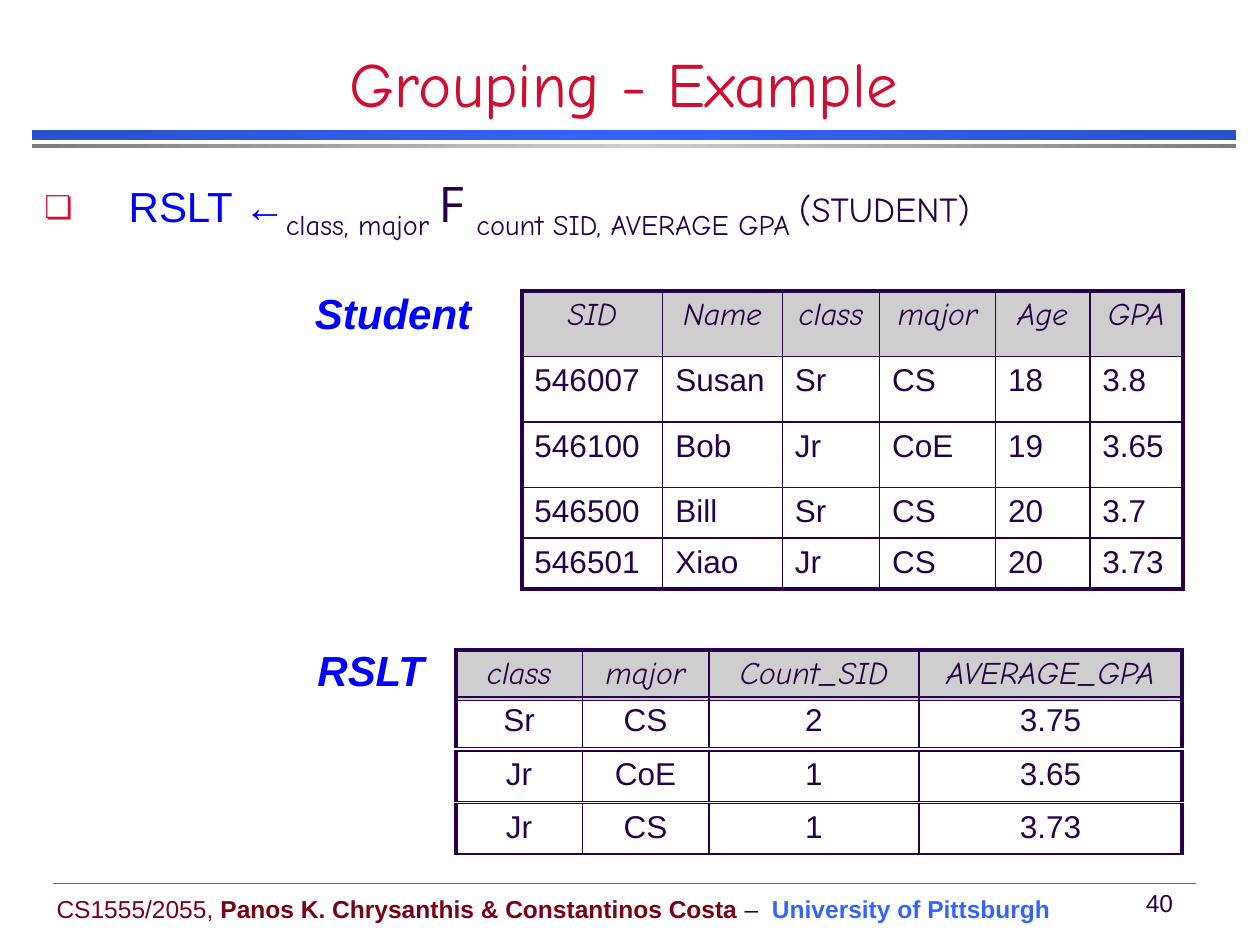
"""Build the slide on grouping with the Student and RSLT tables."""
from copy import deepcopy

from lxml import etree
from pptx import Presentation
from pptx.dml.color import RGBColor
from pptx.enum.shapes import MSO_CONNECTOR, MSO_SHAPE
from pptx.enum.text import MSO_ANCHOR, MSO_AUTO_SIZE, PP_ALIGN
from pptx.oxml.ns import qn
from pptx.util import Cm, Pt

LEFT, CENTER = PP_ALIGN.LEFT, PP_ALIGN.CENTER
TOP, MIDDLE, BOTTOM = MSO_ANCHOR.TOP, MSO_ANCHOR.MIDDLE, MSO_ANCHOR.BOTTOM
NO_AUTOFIT = MSO_AUTO_SIZE.NONE
RECTANGLE, STRAIGHT = MSO_SHAPE.RECTANGLE, MSO_CONNECTOR.STRAIGHT
BODY_FONT, HAND_FONT, SYMBOL_FONT = "Arial", "Comic Neue", "Open Sans"
COLORS = {
    "ink": "280049", "red": "CF0E30", "blue": "0000FF", "sky": "3365FB",
    "navy": "2951C9", "maroon": "790015", "silver": "CECECE",
    "gray": "7C7C7C", "teal": "009688",
}
THICK, THIN = 2.25, 1


def write(paragraph, text, size=18, font=BODY_FONT, color="ink",
          bold=False, italic=False, baseline=0):
    run = paragraph.add_run()
    run.text = text
    run.font.size = Pt(size)
    run.font.name = font
    run.font.bold = bold
    run.font.italic = italic
    run.font.color.rgb = RGBColor.from_string(COLORS[color])
    if baseline:
        run.font._element.set("baseline", str(baseline * 1000))


def add_grid(left, top, widths, heights, rows, header, align, bottom):
    frame = slide.shapes.add_table(len(rows), len(widths), Cm(left), Cm(top),
                                   Cm(sum(widths)), Cm(sum(heights)))
    table = frame.table
    table.first_row = table.horz_banding = False
    for column, width in zip(table.columns, widths):
        column.width = Cm(width)
    for row, height in zip(table.rows, heights):
        row.height = Cm(height)
    for r, values in enumerate(rows):
        is_header = header and r == 0
        for c, value in enumerate(values):
            cell = table.cell(r, c)
            borders = {
                "a:lnL": THICK if c == 0 else THIN,
                "a:lnR": THICK if c == len(widths) - 1 else THIN,
                "a:lnT": THICK if is_header else THIN,
                "a:lnB": bottom if r == len(rows) - 1 else THIN,
            }
            properties = cell._tc.get_or_add_tcPr()
            for tag, width in borders.items():
                line = etree.SubElement(properties, qn(tag), w=str(Pt(width)))
                fill = etree.SubElement(line, qn("a:solidFill"))
                etree.SubElement(fill, qn("a:srgbClr"), val=COLORS["ink"])
            paragraph = cell.text_frame.paragraphs[0]
            if is_header:
                cell.fill.solid()
                cell.fill.fore_color.rgb = RGBColor.from_string(COLORS["silver"])
                paragraph.alignment = CENTER
                write(paragraph, value, font=HAND_FONT, italic=True)
            else:
                cell.fill.background()
                paragraph.alignment = align
                write(paragraph, value)


presentation = Presentation()
presentation.slide_width, presentation.slide_height = Cm(25.4), Cm(19.05)
slide = presentation.slides.add_slide(presentation.slide_layouts[1])

for top, height, edge, middle in [(2.62, 0.2, "navy", "sky"),
                                  (2.9, 0.08, "gray", "silver")]:
    bar = slide.shapes.add_shape(RECTANGLE, Cm(0.64), Cm(top), Cm(24.28), Cm(height))
    bar.shadow.inherit = False
    bar.line.fill.background()
    bar.fill.gradient()
    bar.fill.gradient_angle = 0
    stop_list = bar._element.spPr.find(".//" + qn("a:gsLst"))
    stop_list.append(deepcopy(stop_list[0]))
    for stop, position, color in zip(bar.fill.gradient_stops, (0, 0.5, 1),
                                     (edge, middle, edge)):
        stop.position = position
        stop.color.rgb = RGBColor.from_string(COLORS[color])

footer_line = slide.shapes.add_connector(STRAIGHT, Cm(1.07), Cm(17.8), Cm(24.1), Cm(17.8))
footer_line.line.width = Pt(0.25)
footer_line.line.color.rgb = RGBColor.from_string(COLORS["teal"])
etree.SubElement(footer_line._element.spPr, qn("a:effectLst"))

title, body = slide.shapes.title, slide.placeholders[1]
for placeholder, box, anchor in [(title, (0, 1.07, 25.15, 1.47), BOTTOM),
                                 (body, (0.64, 3.38, 26.24, 13.34), TOP)]:
    placeholder.left, placeholder.top, placeholder.width, placeholder.height = map(Cm, box)
    placeholder.text_frame.auto_size = NO_AUTOFIT
    placeholder.text_frame.vertical_anchor = anchor

heading = title.text_frame.paragraphs[0]
heading.alignment = CENTER
write(heading, "Grouping - Example", size=36, font=HAND_FONT, color="red")

expression = body.text_frame.paragraphs[0]
bullet = expression._p.get_or_add_pPr()
bullet.set("marL", str(Cm(1.7)))
bullet.set("indent", str(-Cm(1.7)))
bullet_color = etree.SubElement(bullet, qn("a:buClr"))
etree.SubElement(bullet_color, qn("a:srgbClr"), val=COLORS["red"])
etree.SubElement(bullet, qn("a:buSzPct"), val="75000")
etree.SubElement(bullet, qn("a:buChar"), char="❏")
write(expression, "RSLT ←", size=24, color="blue")
write(expression, "class, major ", size=28, font=HAND_FONT, baseline=-25)
write(expression, "F ", size=28, font=SYMBOL_FONT)
write(expression, "count SID, AVERAGE GPA ", size=28, font=HAND_FONT, baseline=-25)
write(expression, "(STUDENT)", size=20, font=HAND_FONT)

label = {"size": 24, "color": "blue", "bold": True, "italic": True}
text_boxes = [
    ((6.1, 5.79, 5.08, 1.19), TOP, LEFT, 0.9, [("Student", label)]),
    ((6.15, 12.98, 5.08, 1.19), TOP, LEFT, 0.9, [("RSLT", label)]),
    ((0.89, 17.9, 20.6, 0.84), MIDDLE, LEFT, 1, [
        ("CS1555/2055, ", {"size": 14, "color": "maroon"}),
        ("Panos K. Chrysanthis & Constantinos Costa",
         {"size": 14, "color": "maroon", "bold": True}),
        (" –  ", {"size": 14}),
        ("University of Pittsburgh", {"size": 14, "color": "sky", "bold": True}),
    ]),
    ((22.75, 17.78, 1.25, 0.84), MIDDLE, CENTER, 1, [("40", {"size": 14})]),
]
for box, anchor, align, spacing, runs in text_boxes:
    text_frame = slide.shapes.add_textbox(*map(Cm, box)).text_frame
    text_frame.word_wrap = True
    text_frame.vertical_anchor = anchor
    paragraph = text_frame.paragraphs[0]
    paragraph.alignment = align
    paragraph.line_spacing = spacing
    for text, text_format in runs:
        write(paragraph, text, **text_format)

students = [
    ("SID", "Name", "class", "major", "Age", "GPA"),
    ("546007", "Susan", "Sr", "CS", "18", "3.8"),
    ("546100", "Bob", "Jr", "CoE", "19", "3.65"),
    ("546500", "Bill", "Sr", "CS", "20", "3.7"),
    ("546501", "Xiao", "Jr", "CS", "20", "3.73"),
]
add_grid(10.52, 5.87, [2.84, 2.41, 1.96, 2.34, 1.9, 1.88],
         [1.32] * 3 + [1.02] * 2, students, True, LEFT, THICK)

results = [
    (13.1, ("class", "major", "Count_SID", "AVERAGE_GPA")),
    (14.05, ("Sr", "CS", "2", "3.75")),
    (15.14, ("Jr", "CoE", "1", "3.65")),
    (16.2, ("Jr", "CS", "1", "3.73")),
]
for index, (top, values) in enumerate(results):
    add_grid(9.19, top, [2.55, 2.55, 4.24, 5.3], [1.02], [values],
             index == 0, CENTER, THIN)

presentation.save("out.pptx")
